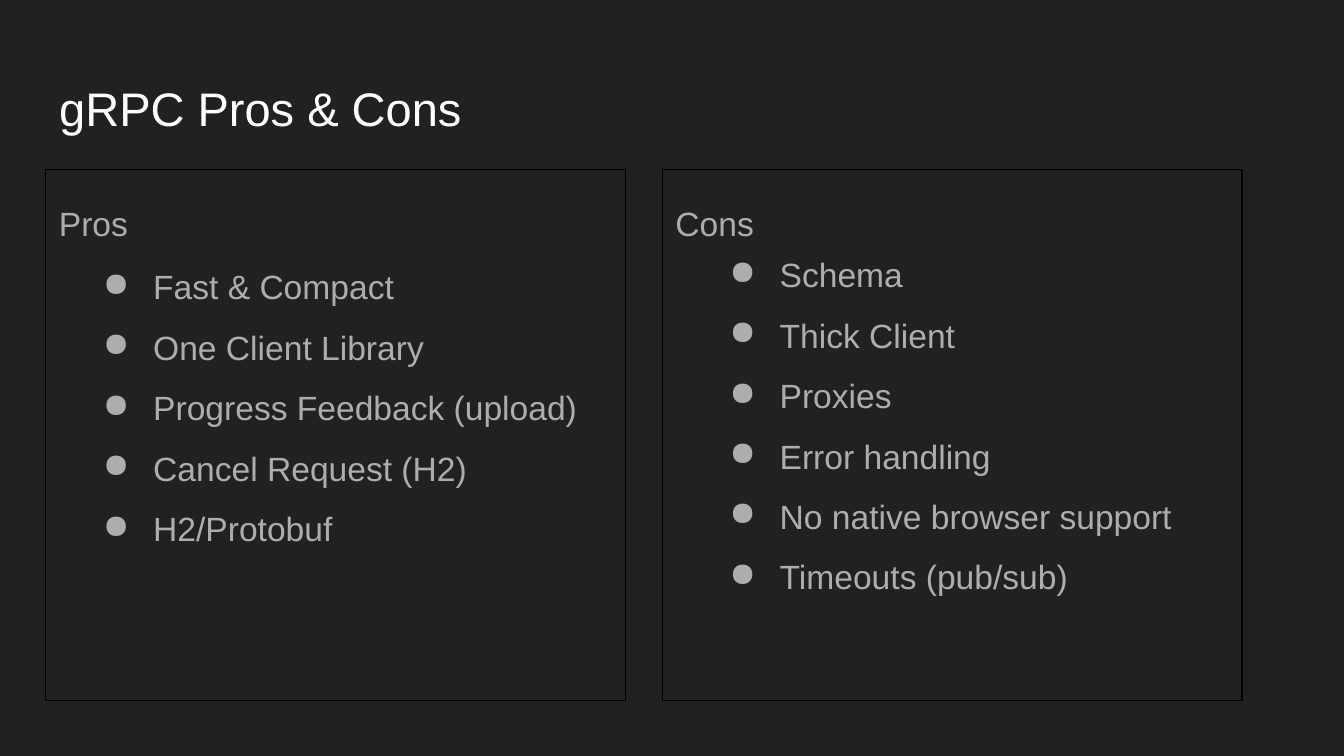
from dataclasses import dataclass

from lxml import etree
from pptx import Presentation
from pptx.dml.color import RGBColor
from pptx.enum.shapes import MSO_SHAPE
from pptx.enum.text import MSO_ANCHOR, PP_ALIGN
from pptx.oxml.ns import qn
from pptx.util import Pt

RECTANGLE = MSO_SHAPE.RECTANGLE
TOP, BOTTOM = MSO_ANCHOR.TOP, MSO_ANCHOR.BOTTOM
LEFT = PP_ALIGN.LEFT

FONT = "Arial"
BACKGROUND, WHITE, GREY, BLACK = "212121", "FFFFFF", "ADADAD", "000000"
INSET = 7.2
MARGIN = 24.5
PANEL_TOP, PANEL_WIDTH, PANEL_HEIGHT = 90.7, 310.5, 284.5
LIST_WIDTH = 281.5


@dataclass
class Column:
    heading: str
    panel_left: float
    list_left: float
    list_top: float
    list_height: float
    points: list[str]


COLUMNS = [
    Column("Pros", MARGIN, 39, 124.6, 230,
           ["Fast & Compact", "One Client Library", "Progress Feedback (upload)",
            "Cancel Request (H2)", "H2/Protobuf"]),
    Column("Cons", 354.8, 374.6, 118.1, 252,
           ["Schema", "Thick Client", "Proxies", "Error handling",
            "No native browser support", "Timeouts (pub/sub)"]),
]


def color(hex_value: str) -> RGBColor:
    return RGBColor.from_string(hex_value)


def set_frame(frame, anchor) -> None:
    frame.word_wrap = True
    frame.vertical_anchor = anchor
    frame.margin_left = frame.margin_right = Pt(INSET)
    frame.margin_top = frame.margin_bottom = Pt(INSET)


def set_font(paragraph, size: float, hex_value: str) -> None:
    paragraph.alignment = LEFT
    paragraph.font.name = FONT
    paragraph.font.size = Pt(size)
    paragraph.font.color.rgb = color(hex_value)


def add_bullet(paragraph) -> None:
    properties = paragraph._p.get_or_add_pPr()
    properties.set("marL", str(Pt(36)))
    properties.set("indent", str(Pt(-27)))
    bullet_color = etree.Element(qn("a:buClr"))
    etree.SubElement(bullet_color, qn("a:srgbClr"), val=GREY)
    bullet = etree.Element(qn("a:buChar"), char="●")
    # Bullet elements must stand before the default run properties
    default_run = properties.find(qn("a:defRPr"))
    default_run.addprevious(bullet_color)
    default_run.addprevious(bullet)


def add_panel(slide, column: Column) -> None:
    panel = slide.shapes.add_shape(RECTANGLE, Pt(column.panel_left), Pt(PANEL_TOP),
                                   Pt(PANEL_WIDTH), Pt(PANEL_HEIGHT))
    panel.shadow.inherit = False
    panel.fill.background()
    panel.line.color.rgb = color(BLACK)
    panel.line.width = Pt(0.75)
    set_frame(panel.text_frame, TOP)
    heading = panel.text_frame.paragraphs[0]
    heading.text = column.heading
    heading.line_spacing = 1.5
    heading.space_before = heading.space_after = Pt(12)
    set_font(heading, 18, GREY)


def add_points(slide, column: Column) -> None:
    points_box = slide.shapes.add_textbox(Pt(column.list_left), Pt(column.list_top),
                                          Pt(LIST_WIDTH), Pt(column.list_height))
    frame = points_box.text_frame
    set_frame(frame, TOP)
    for index, point in enumerate(column.points):
        paragraph = frame.add_paragraph() if index else frame.paragraphs[0]
        paragraph.text = point
        paragraph.line_spacing = 1.5
        paragraph.space_before = Pt(0 if index else 12)
        set_font(paragraph, 18, GREY)
        add_bullet(paragraph)


# Slide and background
presentation = Presentation()
presentation.slide_width, presentation.slide_height = Pt(720), Pt(405)
slide = presentation.slides.add_slide(presentation.slide_layouts[5])
slide.background.fill.solid()
slide.background.fill.fore_color.rgb = color(BACKGROUND)

# Title
title = slide.shapes.title
title.left, title.top, title.width, title.height = Pt(MARGIN), Pt(35), Pt(671), Pt(45)
set_frame(title.text_frame, BOTTOM)
title_line = title.text_frame.paragraphs[0]
title_line.text = "gRPC Pros & Cons"
set_font(title_line, 25.2, WHITE)

# Pros and cons columns
for column in COLUMNS:
    add_panel(slide, column)
    add_points(slide, column)

presentation.save("out.pptx")
